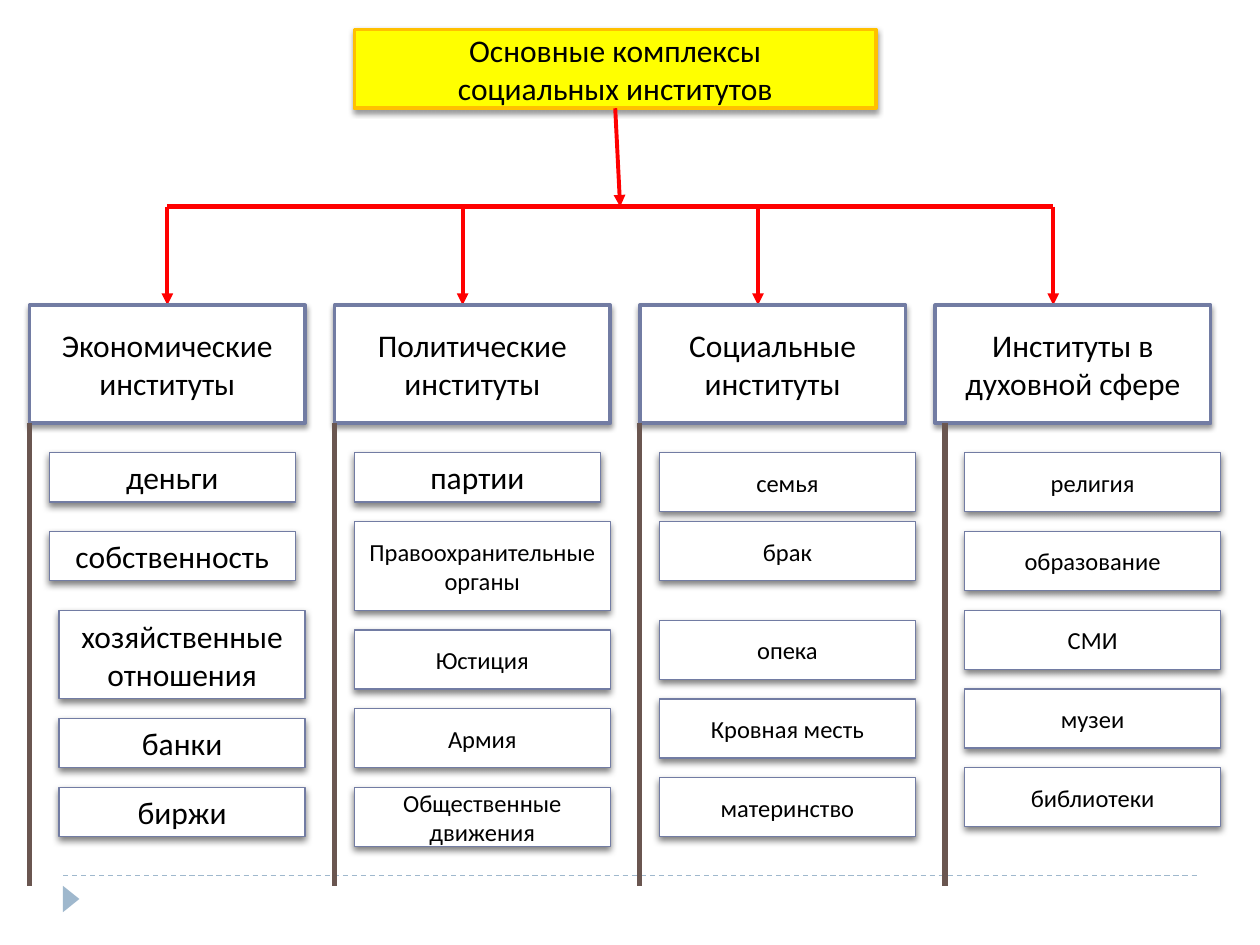
from dataclasses import dataclass
from lxml.etree import SubElement as Sub
from pptx import Presentation
from pptx.dml.color import RGBColor as RGB
from pptx.enum.dml import MSO_LINE as Dash
from pptx.enum.shapes import MSO_CONNECTOR as Conn, MSO_SHAPE as Kind
from pptx.enum.text import MSO_ANCHOR as Anchor, MSO_AUTO_SIZE as Auto, PP_ALIGN as Align
from pptx.oxml.ns import qn
from pptx.util import Pt


@dataclass(frozen=True)
class Theme:
    font: str = "Calibri"
    big: int = 18
    small: int = 14
    ink: str = "000000"
    paper: str = "FFFFFF"
    glow: str = "FFFF00"
    gold: str = "FFC000"
    edge: str = "727CA3"
    flow: str = "FF0000"
    rail: str = "6A5650"
    mark: str = "9FB8CD"


T = Theme()
TITLE = "Основные комплексы\nсоциальных институтов"
# Places are in cells: the slide is 128 cells wide and 96 high.
# Column: text, left, width, rail, items; item: text, left, top, width, height, size.
COLUMNS = [
    ("Экономические\nинституты", 3, 28, 3, [
        ("деньги", 5, 46, 25, 5, T.big),
        ("собственность", 5, 54, 25, 5, T.big),
        ("хозяйственные\nотношения", 6, 62, 25, 9, T.big),
        ("банки", 6, 73, 25, 5, T.big),
        ("биржи", 6, 80, 25, 5, T.big),
    ]),
    ("Политические\nинституты", 34, 28, 34, [
        ("партии", 36, 46, 25, 5, T.big),
        ("Правоохранительные органы", 36, 53, 26, 9, T.small),
        ("Юстиция", 36, 64, 26, 6, T.small),
        ("Армия", 36, 72, 26, 6, T.small),
        ("Общественные движения", 36, 80, 26, 6, T.small),
    ]),
    ("Социальные\nинституты", 65, 27, 65, [
        (word, 67, top, 26, 6, T.small) for word, top in
        [("семья", 46), ("брак", 53), ("опека", 63), ("Кровная месть", 71), ("материнство", 79)]
    ]),
    ("Институты в духовной сфере", 95, 28, 96, [
        (word, 98, 46 + 8 * row, 26, 6, T.small) for row, word in
        enumerate(["религия", "образование", "СМИ", "музеи", "библиотеки"])
    ]),
]
BAR, HEAD, FOOT, END = 21, 31, 43, 90
DROPS = [17 + 30 * n for n in range(len(COLUMNS))]

deck = Presentation()
deck.slide_width, deck.slide_height = Pt(720), Pt(540)
slide = deck.slides.add_slide(deck.slide_layouts[5])
shapes = slide.shapes


def cell(n):
    return Pt(n * 720 / 128)


def shade(shape, alpha, blur):
    shape.shadow.inherit = False
    glow = Sub(shape._element.spPr.find(qn("a:effectLst")), qn("a:outerShdw"),
               blurRad=str(Pt(blur)), dist=str(Pt(2)), dir="5400000", rotWithShape="0")
    tint = Sub(glow, qn("a:srgbClr"), val=T.ink)
    Sub(tint, qn("a:alpha"), val=str(alpha * 1000))


def dress(shape, text, size, fill, edge, width):
    shape.fill.solid()
    shape.fill.fore_color.rgb = RGB.from_string(fill)
    shape.line.color.rgb = RGB.from_string(edge)
    shape.line.width = Pt(width)
    frame = shape.text_frame
    frame.text = text
    frame.word_wrap = True
    frame.auto_size = Auto.NONE
    frame.vertical_anchor = Anchor.MIDDLE
    for para in frame.paragraphs:
        para.alignment = Align.CENTER
        para.font.name = T.font
        para.font.size = Pt(size)
        para.font.color.rgb = RGB.from_string(T.ink)


def box(text, left, top, wide, high, size, width):
    shape = shapes.add_shape(Kind.RECTANGLE, *map(cell, (left, top, wide, high)))
    dress(shape, text, size, T.paper, T.edge, width)
    return shape


def line(ends, color, width, arrow=False):
    link = shapes.add_connector(Conn.STRAIGHT, *ends)
    link.line.color.rgb = RGB.from_string(color)
    link.line.width = Pt(width)
    if arrow:
        Sub(link.line._get_or_add_ln(), qn("a:tailEnd"), type="triangle")
    Sub(link._element.spPr, qn("a:effectLst"))
    return link


base = line(map(Pt, (36, 500.4, 684, 500.4)), T.mark, 0.75)
base.line.dash_style = Dash.DASH
flag = shapes.add_shape(Kind.ISOSCELES_TRIANGLE, *map(Pt, (33.1, 509, 15.1, 9.4)))
flag.rotation = 90
flag.fill.solid()
flag.fill.fore_color.rgb = RGB.from_string(T.mark)
flag.line.fill.background()
flag.shadow.inherit = False

title = shapes.title
title.left, title.top, title.width, title.height = map(cell, (36, 3, 53, 8))
dress(title, TITLE, T.big, T.glow, T.gold, 2)
shade(title, 40, 3)
stem = line(map(cell, (62.5, 11, 63, BAR)), T.flow, 2.25, True)
stem.begin_connect(title, 2)
line(map(cell, (DROPS[0], BAR, DROPS[-1], BAR)), T.flow, 3)

for drop, (text, left, wide, rail, items) in zip(DROPS, COLUMNS):
    arrow = line(map(cell, (drop, BAR, drop, HEAD)), T.flow, 2.25, True)
    head = box(text, left, HEAD, wide, FOOT - HEAD, T.big, 2)
    shade(head, 40, 3)
    if drop == left + wide / 2:
        arrow.end_connect(head, 0)
    line(map(cell, (rail, FOOT, rail, END)), T.rail, 3)
    for item in items:
        shade(box(*item, 0.75), 50, 4)

deck.save("out.pptx")
